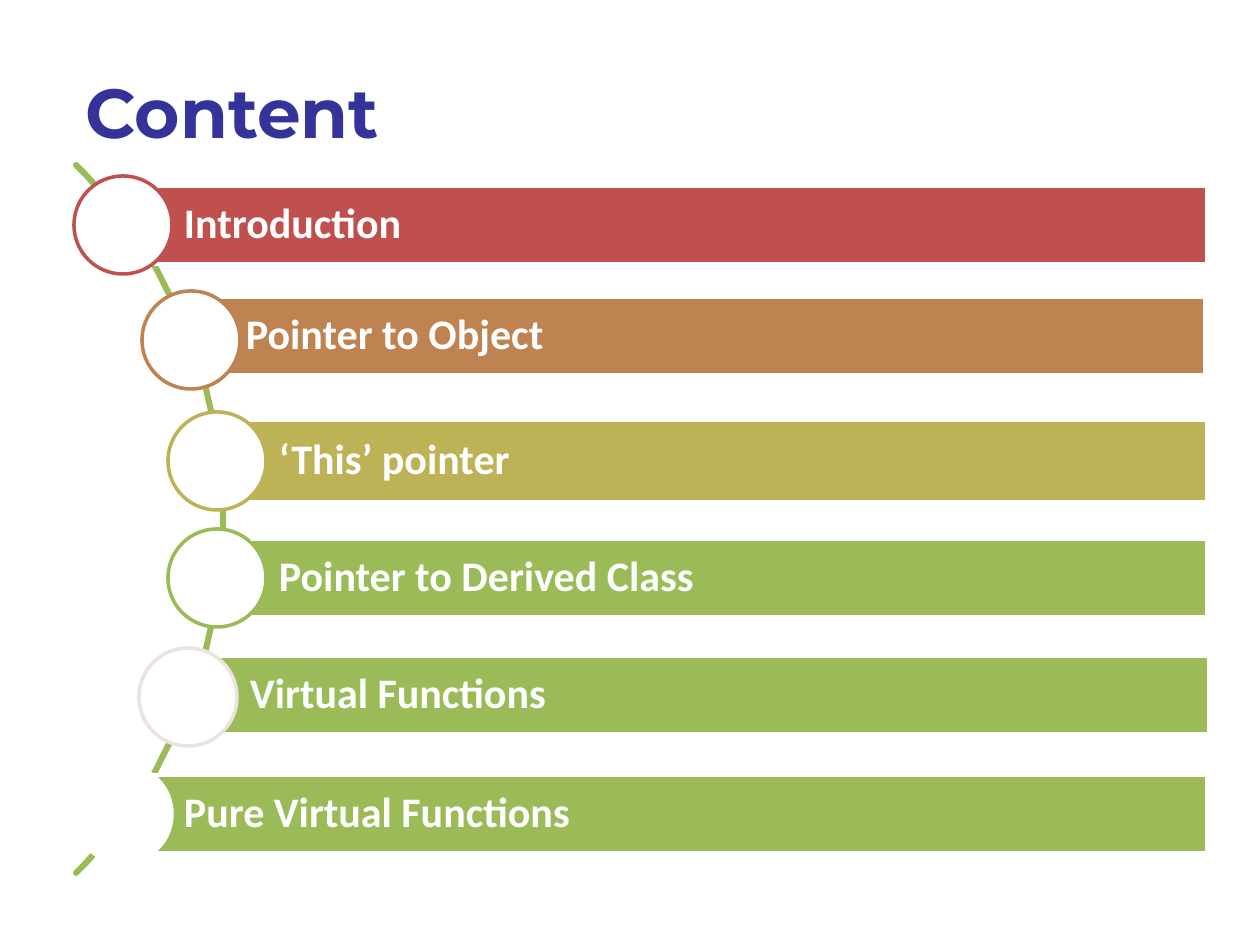
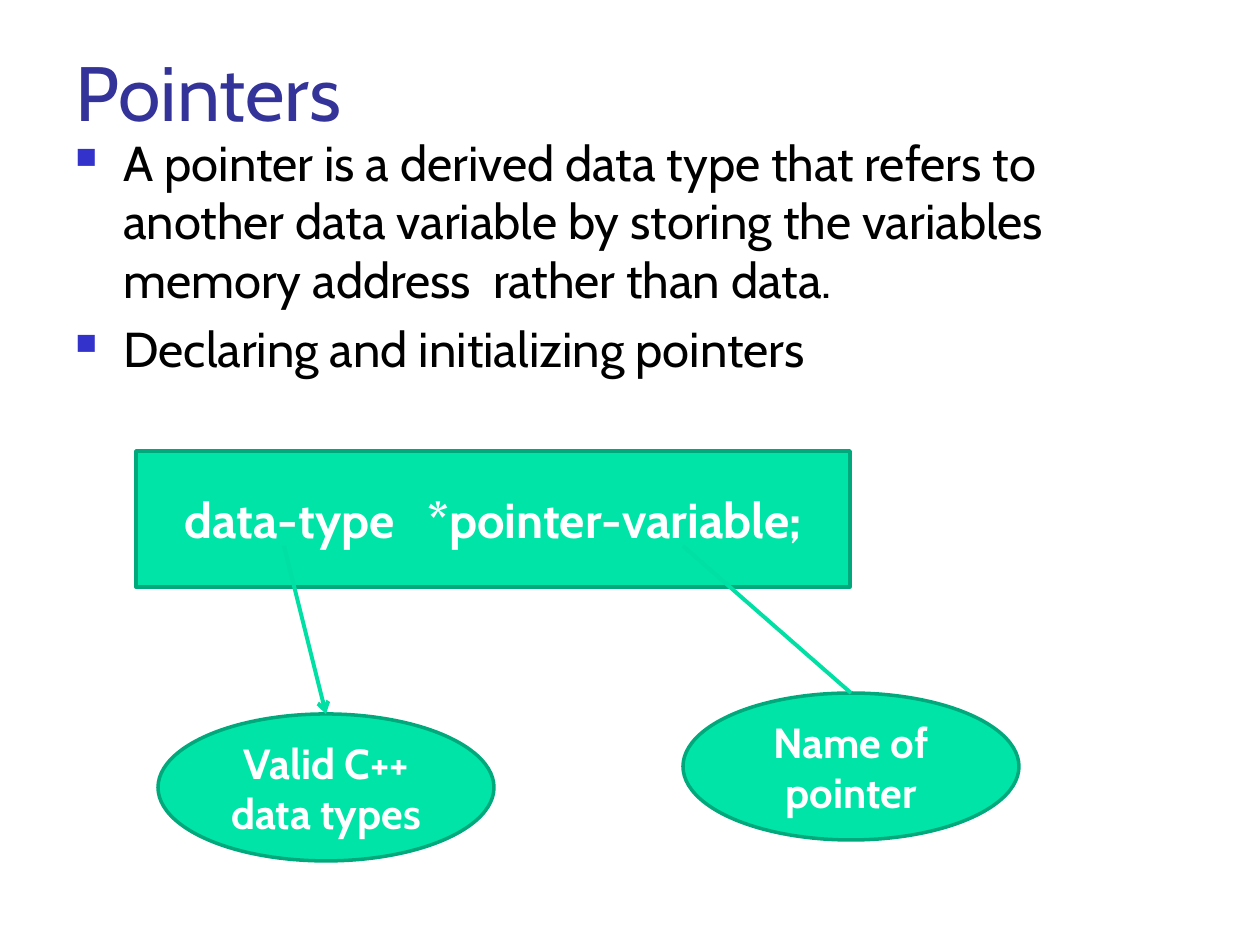
from math import cos, pi, sin

from lxml.etree import SubElement
from pptx import Presentation
from pptx.dml.color import RGBColor
from pptx.enum.shapes import MSO_CONNECTOR, MSO_SHAPE
from pptx.enum.text import MSO_ANCHOR, PP_ALIGN
from pptx.oxml.ns import qn
from pptx.util import Pt

PX = 914400 / 126

WHITE = RGBColor(0xFF, 0xFF, 0xFF)
BLACK = RGBColor(0x00, 0x00, 0x00)
NAVY = RGBColor(0x33, 0x33, 0x99)
BULLET_BLUE = RGBColor(0x33, 0x33, 0xCC)
RED = RGBColor(0xC0, 0x50, 0x4D)
ORANGE = RGBColor(0xBE, 0x83, 0x51)
OLIVE = RGBColor(0xBD, 0xB2, 0x55)
GREEN = RGBColor(0x9B, 0xBB, 0x59)
PALE = RGBColor(0xEB, 0xE2, 0xE1)
MINT = RGBColor(0x00, 0xE4, 0xA8)
MINT_EDGE = RGBColor(0x00, 0xA9, 0x7C)
MINT_LINE = RGBColor(0x00, 0xDF, 0xA4)

CIRCLE_SIZE = 98

# topic, bar colour, ring colour, bar (left, top, width, height), circle (left, top)
TOPICS = [
    ("Introduction", RED, RED, (122, 186, 1085, 78), (74, 176)),
    ("Pointer to Object", ORANGE, ORANGE, (184, 297, 1021, 78), (142, 291)),
    ("‘This’ pointer", OLIVE, OLIVE, (217, 420, 990, 82), (168, 412)),
    ("Pointer to Derived Class", GREEN, GREEN, (217, 539, 990, 78), (168, 529)),
    ("Virtual Functions", GREEN, PALE, (188, 656, 1021, 78), (139, 648)),
    ("Pure Virtual Functions", GREEN, WHITE, (122, 775, 1085, 78), (74, 765)),
]

POINTER_FACTS = [
    "A pointer is a derived data type that refers to another data variable "
    "by storing the variables memory address  rather than data.",
    "Declaring and initializing pointers",
]


def px(*lengths):
    """Turn pixel lengths into EMU."""
    return [round(length * PX) for length in lengths]


def add_run(paragraph, text, font_name, size, color, bold=False):
    run = paragraph.add_run()
    run.text = text
    run.font.name = font_name
    run.font.size = Pt(size)
    run.font.color.rgb = color
    run.font.bold = bold


def add_text_frame(slide, box):
    frame = slide.shapes.add_textbox(*px(*box)).text_frame
    frame.word_wrap = True
    return frame


def add_title(slide, text, box, font_name, size, bold=False):
    paragraph = add_text_frame(slide, box).paragraphs[0]
    add_run(paragraph, text, font_name, size, NAVY, bold)


def add_filled_shape(slide, kind, box, fill, edge):
    shape = slide.shapes.add_shape(kind, *px(*box))
    shape.shadow.inherit = False
    shape.fill.solid()
    shape.fill.fore_color.rgb = fill
    shape.line.color.rgb = edge
    shape.line.width = Pt(2)
    return shape


def add_label(shape, text, font_name, size, alignment):
    frame = shape.text_frame
    frame.word_wrap = True
    frame.vertical_anchor = MSO_ANCHOR.MIDDLE
    paragraph = frame.paragraphs[0]
    paragraph.alignment = alignment
    add_run(paragraph, text, font_name, size, WHITE, bold=True)


def line_element(shape):
    return shape.element.spPr.find(qn("a:ln"))


def add_arc(slide, center_x, center_y, radius):
    """Draw the quarter circle on the right, from 45° above to 45° below."""
    steps = 60
    angles = [-pi / 4 + pi / 2 * step / steps for step in range(steps + 1)]
    points = [(center_x + radius * cos(angle), center_y + radius * sin(angle))
              for angle in angles]
    builder = slide.shapes.build_freeform(*points[0], scale=PX)
    builder.add_line_segments(points[1:], close=False)
    arc = builder.convert_to_shape()
    arc.shadow.inherit = False
    arc.fill.background()
    arc.line.color.rgb = GREEN
    arc.line.width = Pt(3.5)
    line_element(arc).set("cap", "rnd")


def add_topic(slide, topic, color, ring, bar_box, circle_corner):
    bar = add_filled_shape(slide, MSO_SHAPE.RECTANGLE, bar_box, color, WHITE)
    add_label(bar, topic, "Calibri", 24, PP_ALIGN.LEFT)
    frame = bar.text_frame
    frame.margin_left, frame.margin_right = px(62, 9)
    frame.margin_top, frame.margin_bottom = px(9, 9)
    frame.paragraphs[0].line_spacing = 0.9
    circle_box = (*circle_corner, CIRCLE_SIZE, CIRCLE_SIZE)
    add_filled_shape(slide, MSO_SHAPE.OVAL, circle_box, WHITE, ring)


def add_bullets(slide, texts, box, size):
    frame = add_text_frame(slide, box)
    for index, text in enumerate(texts):
        paragraph = frame.add_paragraph() if index else frame.paragraphs[0]
        if index:
            paragraph.space_before = Pt(size * 0.2)
        properties = paragraph._p.get_or_add_pPr()
        indent = px(48)[0]
        properties.set("marL", str(indent))
        properties.set("indent", str(-indent))
        bullet_color = SubElement(properties, qn("a:buClr"))
        SubElement(bullet_color, qn("a:srgbClr"), val=str(BULLET_BLUE))
        SubElement(properties, qn("a:buSzPct"), val="60000")
        SubElement(properties, qn("a:buChar"), char="■")
        add_run(paragraph, text, "Cabin", size, BLACK)


def add_mint_shape(slide, kind, box, text, size):
    shape = add_filled_shape(slide, kind, box, MINT, MINT_EDGE)
    add_label(shape, text, "Cabin", size, PP_ALIGN.CENTER)
    return shape


def add_pointer_line(slide, start, target, arrow=False):
    """Draw a line from a point to the top of the target shape."""
    connector = slide.shapes.add_connector(MSO_CONNECTOR.STRAIGHT, *px(*start, *start))
    connector.end_connect(target, 0)
    connector.line.color.rgb = MINT_LINE
    connector.line.width = Pt(2.25)
    if arrow:
        SubElement(line_element(connector), qn("a:tailEnd"), type="arrow")
    SubElement(connector.element.spPr, qn("a:effectLst"))


def build_content_slide(slide):
    add_title(slide, "Content", (73, 63, 1134, 88), "Montserrat", 39.6, bold=True)
    add_arc(slide, -278, 519, 501)
    for topic in TOPICS:
        add_topic(slide, *topic)


def build_pointers_slide(slide):
    add_title(slide, "Pointers", (63, 38, 1029, 78), "Cabin", 44)
    add_bullets(slide, POINTER_FACTS, (63, 126, 1029, 766), 28)
    add_mint_shape(slide, MSO_SHAPE.RECTANGLE, (136, 451, 714, 136),
                   "data-type   *pointer-variable;", 28)
    pointer_name = add_mint_shape(slide, MSO_SHAPE.OVAL, (683, 693, 336, 147),
                                  "Name of pointer", 24)
    data_types = add_mint_shape(slide, MSO_SHAPE.OVAL, (158, 714, 336, 147),
                                "Valid C++ data types", 24)
    add_pointer_line(slide, (284, 546), data_types, arrow=True)
    add_pointer_line(slide, (683, 546), pointer_name)


def main():
    presentation = Presentation()
    presentation.slide_width, presentation.slide_height = px(1260, 945)
    blank = presentation.slide_layouts[6]
    for build in (build_content_slide, build_pointers_slide):
        build(presentation.slides.add_slide(blank))
    presentation.save("out.pptx")


if __name__ == "__main__":
    main()
